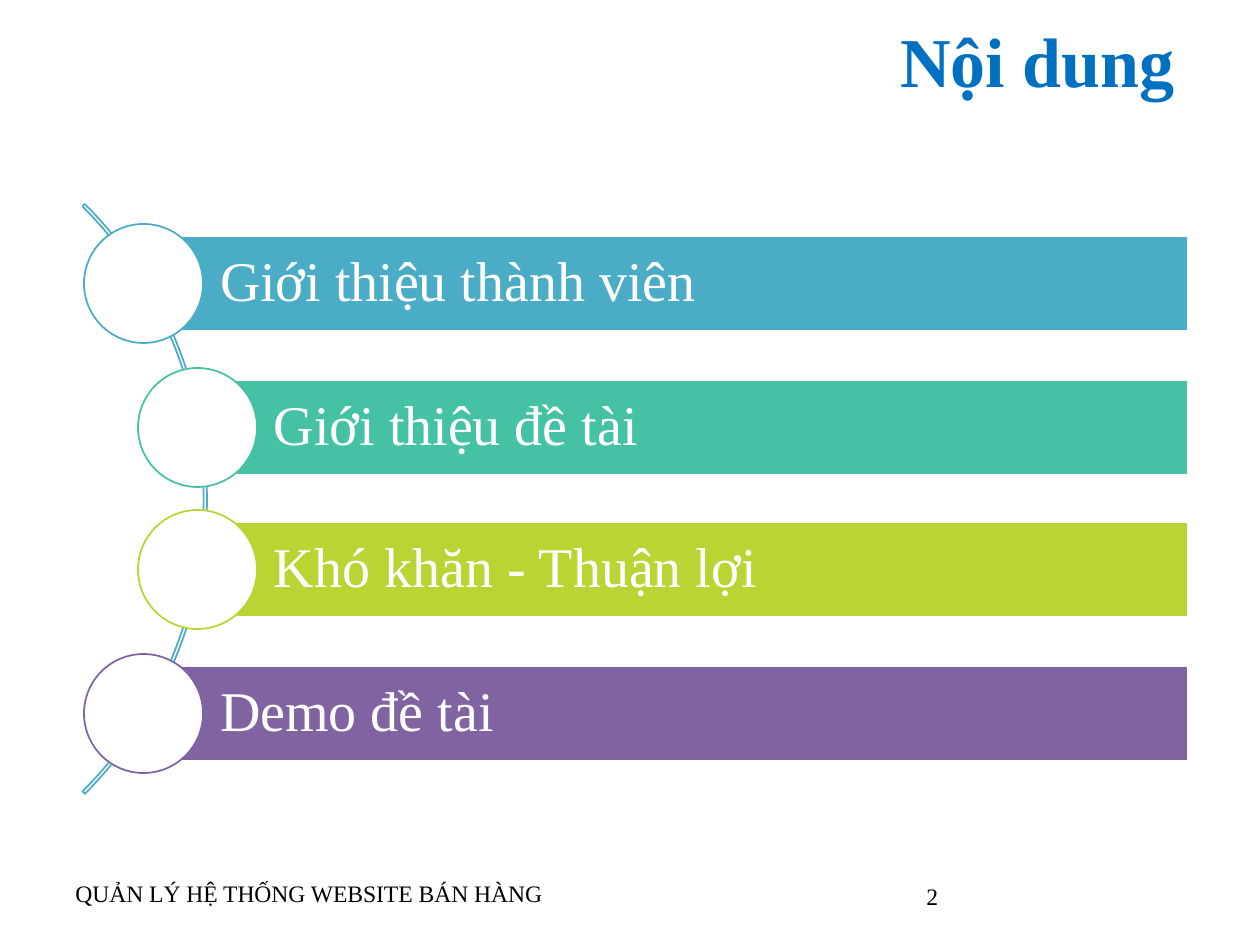
import pptx
import pptx.util
from pptx.dml.color import RGBColor
from pptx.enum.shapes import MSO_SHAPE
from pptx.enum.text import MSO_ANCHOR, PP_ALIGN

PX = 914400 // 126
FONT = "Times New Roman"
WHITE = RGBColor(0xFF, 0xFF, 0xFF)
BLACK = RGBColor(0x00, 0x00, 0x00)
BLUE = RGBColor(0x00, 0x70, 0xC0)
TEAL = RGBColor(0x4B, 0xAC, 0xC6)
GREEN = RGBColor(0x45, 0xC1, 0xA4)
LIME = RGBColor(0xB9, 0xD5, 0x33)
PURPLE = RGBColor(0x80, 0x64, 0xA2)

# Wording, colour and circle centre from the left edge
TOPICS = [
    ("Giới thiệu thành viên", TEAL, 144),
    ("Giới thiệu đề tài", GREEN, 198),
    ("Khó khăn - Thuận lợi", LIME, 198),
    ("Demo đề tài", PURPLE, 144),
]
FIRST_Y, PITCH = 284, 143
BAR_RIGHT, BAR_HEIGHT, CIRCLE = 1188, 95, 119


def px(n):
    return pptx.util.Emu(round(n) * PX)


def set_attrs(target, values):
    for name, value in values.items():
        setattr(target, name, value)


def write(tf, text, size, color, bold=False, frame=None, para=None):
    """Fill a text frame with one formatted paragraph."""
    set_attrs(tf, {"word_wrap": True, **(frame or {})})
    p = tf.paragraphs[0]
    set_attrs(p, para or {})
    r = p.add_run()
    r.text = text
    set_attrs(r.font, {"name": FONT, "size": pptx.util.Pt(size), "bold": bold})
    r.font.color.rgb = color


def add_title(s, text):
    sp = s.shapes.title
    set_attrs(sp, {"left": px(63), "top": px(21), "width": px(1124), "height": px(116)})
    write(sp.text_frame, text, 40, BLUE, bold=True,
          frame={"vertical_anchor": MSO_ANCHOR.TOP},
          para={"alignment": PP_ALIGN.RIGHT, "line_spacing": 0.9})


def add_label(s, text, x, y, w, h):
    sp = s.shapes.add_textbox(px(x), px(y), px(w), px(h))
    write(sp.text_frame, text, 13.5, BLACK)


def add_shape(s, kind, x, y, w, h, fill, line, weight):
    sp = s.shapes.add_shape(kind, px(x), px(y), px(w), px(h))
    sp.shadow.inherit = False
    if fill is None:
        sp.fill.background()
    else:
        sp.fill.solid()
        sp.fill.fore_color.rgb = fill
    sp.line.color.rgb = line
    sp.line.width = pptx.util.Pt(weight)
    return sp


def add_arc(s):
    sp = add_shape(s, MSO_SHAPE.BLOCK_ARC, -627, 82, 834, 834, None, TEAL, 1)
    for i, value in enumerate((189, 27, 0.004)):
        sp.adjustments[i] = value


def add_topic(s, text, color, cx, cy):
    """Add a bar that starts at the centre of its circle."""
    bar = add_shape(s, MSO_SHAPE.RECTANGLE, cx, cy - BAR_HEIGHT / 2,
                    BAR_RIGHT - cx, BAR_HEIGHT, color, WHITE, 1.5)
    write(bar.text_frame, text, 32, WHITE,
          frame={"vertical_anchor": MSO_ANCHOR.MIDDLE,
                 "margin_left": px(76), "margin_right": px(11),
                 "margin_top": px(11), "margin_bottom": px(11)},
          para={"alignment": PP_ALIGN.LEFT, "line_spacing": 0.9})
    add_shape(s, MSO_SHAPE.OVAL, cx - CIRCLE / 2, cy - CIRCLE / 2,
              CIRCLE, CIRCLE, WHITE, color, 1)


def main():
    prs = pptx.Presentation()
    set_attrs(prs, {"slide_width": px(1260), "slide_height": px(945)})
    s = prs.slides.add_slide(prs.slide_layouts[5])
    add_title(s, "Nội dung")
    add_label(s, "QUẢN LÝ HỆ THỐNG WEBSITE BÁN HÀNG", 63, 873, 840, 50)
    add_label(s, "2", 914, 876, 294, 50)
    add_arc(s)
    for i, (text, color, cx) in enumerate(TOPICS):
        add_topic(s, text, color, cx, FIRST_Y + i * PITCH)
    prs.save("out.pptx")


if __name__ == "__main__":
    main()
